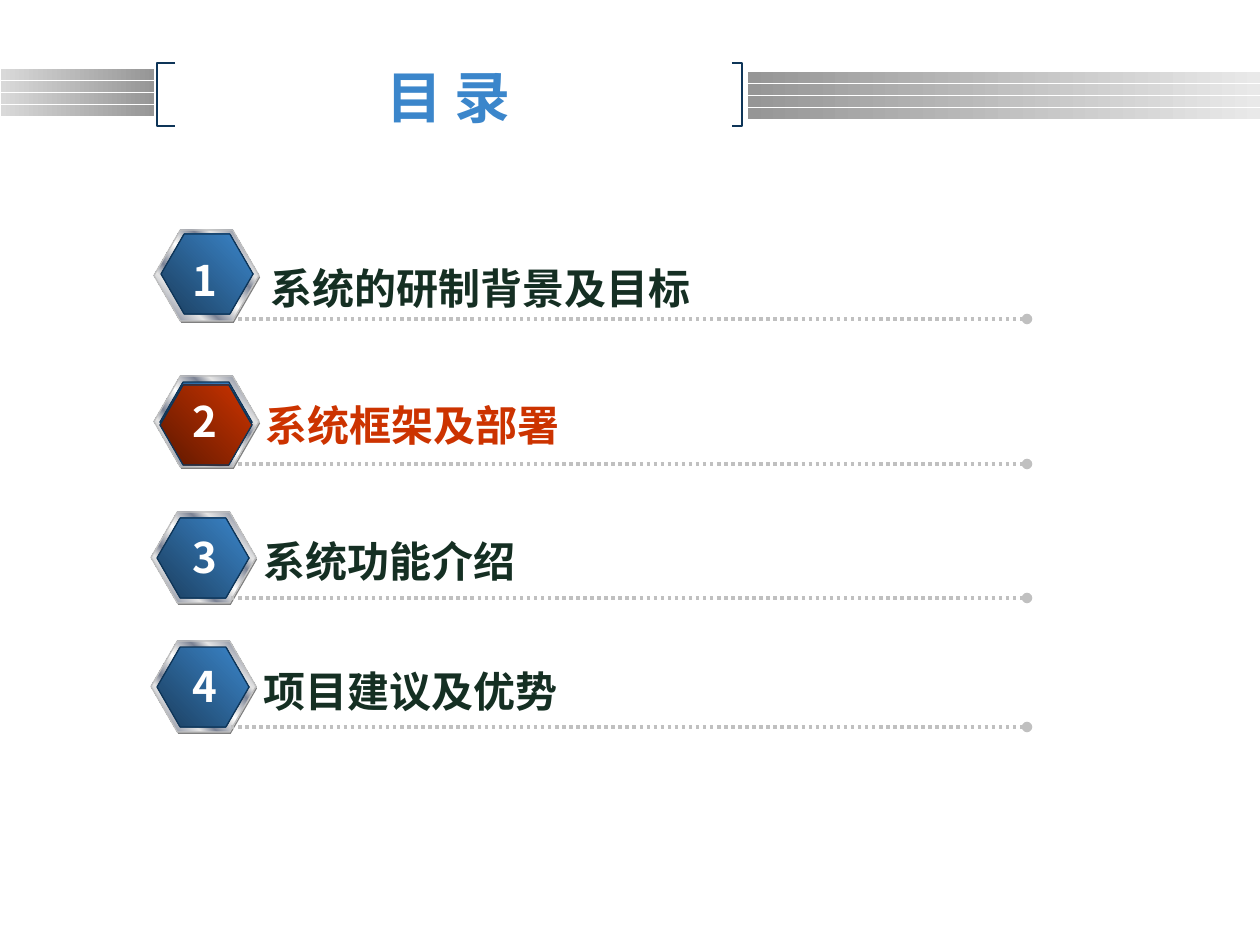
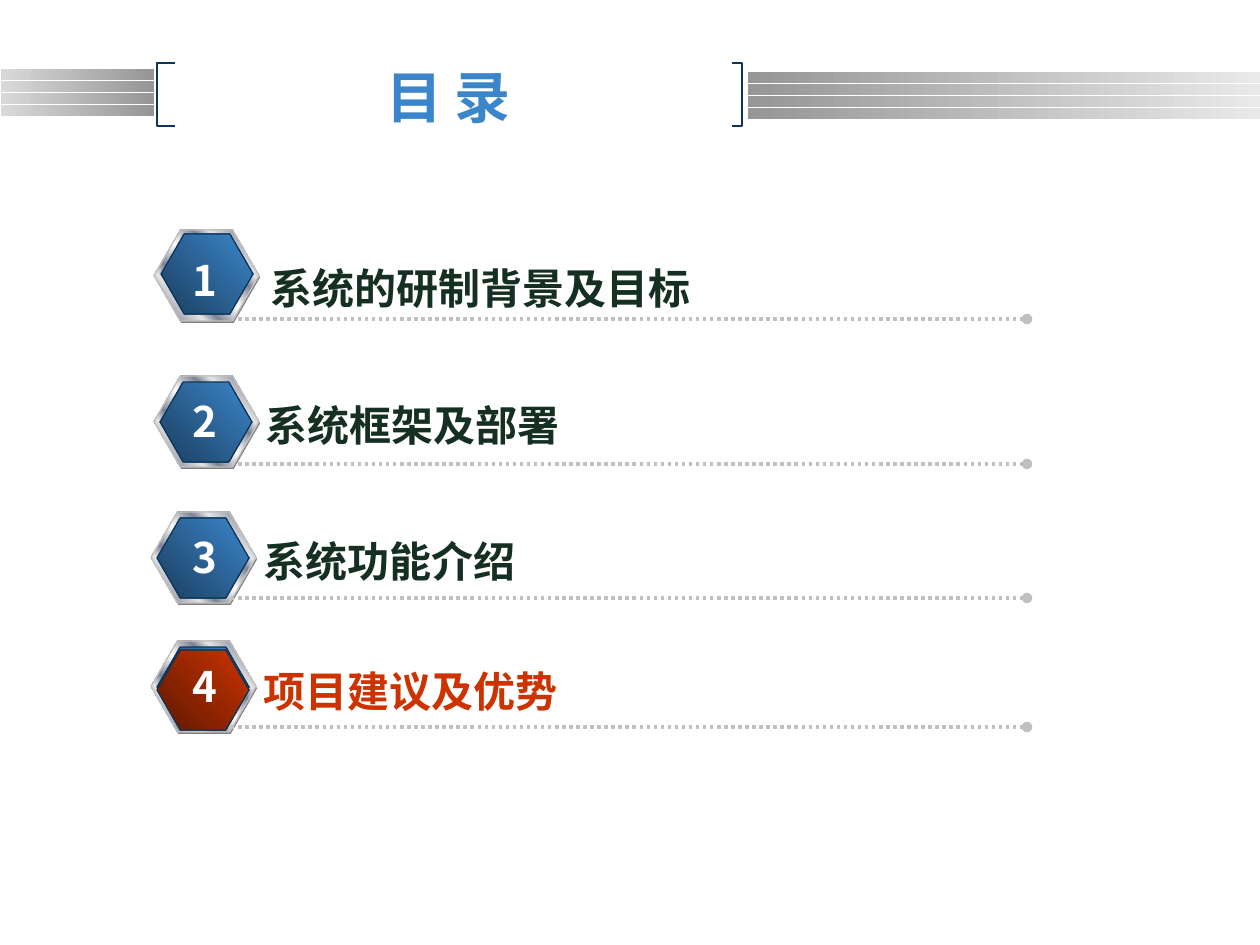
from dataclasses import dataclass

from lxml.etree import SubElement
from pptx import Presentation
from pptx.dml.color import RGBColor
from pptx.enum.dml import MSO_LINE
from pptx.enum.shapes import MSO_CONNECTOR, MSO_SHAPE
from pptx.enum.text import MSO_ANCHOR, MSO_AUTO_SIZE, PP_ALIGN
from pptx.oxml.ns import qn
from pptx.util import Pt

# Content
TITLE = "目 录"
# number, topic, topic position, badge position, face offset, number top, rule y, rule above badge
TOPICS = [
    ("1", "系统的研制背景及目标", (258, 256), (154, 230), (7, 4), 248, 319, False),
    ("2", "系统框架及部署", (253, 393), (154, 376), (6, 6), 389, 464, False),
    ("3", "系统功能介绍", (251, 529), (151, 512), (6, 6), 525, 598, True),
    ("4", "项目建议及优势", (251, 659), (151, 641), (6, 6), 654, 727, True),
]
CURRENT_TOPICS = ["2", "4"]  # highlighted topic of each slide


@dataclass(frozen=True)
class Theme:
    font: str = "Noto Sans CJK SC"
    title_size: int = 32
    topic_size: int = 24
    title: str = "3B86CB"
    topic: str = "152F23"
    current: str = "CC3300"
    number: str = "FFFFFF"
    outline: str = "0E3558"
    rule: str = "C0C0C0"
    badge_shade: str = "808080"
    left_bars: tuple = ((0, "D9D9D9"), (100, "969696"))
    right_bars: tuple = ((0, "969696"), (100, "E9E9E9"))
    blue_face: tuple = ((0, "1B3E5E"), (100, "3B86CB"))
    red_face: tuple = ((0, "5E1800"), (100, "CC3300"))
    metal: tuple = (
        (0, "E6E6E6"), (8, "7D8496"), (26, "E6E6E6"), (34, "7D8496"),
        (46, "E6E6E6"), (50, "FFFFFF"), (54, "E6E6E6"), (66, "7D8496"),
        (74, "E6E6E6"), (92, "7D8496"), (100, "E6E6E6"))


THEME = Theme()
SCALE = 914400 / 126  # EMU in one px
BADGE_SIZE = (105, 91)
FACE_SIZE = (92, 80)
RULE_X = (231, 1027)


def emu(*lengths):
    return [round(length * SCALE) for length in lengths]


def set_line(shape, color, width=0.75):
    shape.line.color.rgb = RGBColor.from_string(color)
    shape.line.width = Pt(width)


def fill_gradient(shape, stops, angle):
    gradient = shape._element.spPr.makeelement(qn("a:gradFill"), {"rotWithShape": "1"})
    stop_list = SubElement(gradient, qn("a:gsLst"))
    for position, color in stops:
        stop = SubElement(stop_list, qn("a:gs"), pos=str(position * 1000))
        SubElement(stop, qn("a:srgbClr"), val=color)
    SubElement(gradient, qn("a:lin"), ang=str(angle * 60000), scaled="0")
    shape._element.spPr.find(qn("a:prstGeom")).addnext(gradient)


def add_filled(slide, kind, box, fill, line=None, angle=0):
    shape = slide.shapes.add_shape(kind, *emu(*box))
    shape.shadow.inherit = False
    if isinstance(fill, str):
        shape.fill.solid()
        shape.fill.fore_color.rgb = RGBColor.from_string(fill)
    else:
        fill_gradient(shape, fill, angle)
    if line:
        set_line(shape, line)
    else:
        shape.line.fill.background()
    return shape


def add_hexagon(slide, position, size, fill, line=None):
    shape = add_filled(slide, MSO_SHAPE.HEXAGON, (*position, *size), fill, line, angle=315)
    shape.adjustments[0] = 0.289
    shape.adjustments[1] = 1.155


def add_text(slide, box, text, size, color, **frame_format):
    frame = slide.shapes.add_textbox(*emu(*box)).text_frame
    settings = {"word_wrap": False, "auto_size": MSO_AUTO_SIZE.SHAPE_TO_FIT_TEXT}
    for name, value in (settings | frame_format).items():
        setattr(frame, name, value)
    paragraph = frame.paragraphs[0]
    run = paragraph.add_run()
    run.text = text
    for name, value in {"size": Pt(size), "bold": True, "name": THEME.font}.items():
        setattr(run.font, name, value)
    run.font.color.rgb = RGBColor.from_string(color)
    SubElement(run._r.get_or_add_rPr(), qn("a:ea"), typeface=THEME.font)
    return paragraph


def add_bracket(slide, inner_x, outer_x, top=63, bottom=126):
    builder = slide.shapes.build_freeform(inner_x, top, scale=SCALE)
    builder.add_line_segments(
        [(outer_x, top), (outer_x, bottom), (inner_x, bottom)], close=False)
    shape = builder.convert_to_shape()
    shape.shadow.inherit = False
    shape.fill.background()
    set_line(shape, THEME.outline)


def add_header(slide):
    for left, top, width, stops in ((1, 69, 153, THEME.left_bars),
                                    (748, 72, 512, THEME.right_bars)):
        for row in range(4):
            add_filled(slide, MSO_SHAPE.RECTANGLE, (left, top + 12 * row, width, 11), stops)
    add_bracket(slide, 175, 157)
    add_bracket(slide, 732, 742)
    paragraph = add_text(slide, (165, 63, 567, 67), TITLE, THEME.title_size, THEME.title,
                         word_wrap=True, auto_size=MSO_AUTO_SIZE.NONE,
                         vertical_anchor=MSO_ANCHOR.MIDDLE)
    paragraph.alignment = PP_ALIGN.CENTER


def add_rule(slide, y):
    start, end = RULE_X
    rule = slide.shapes.add_connector(MSO_CONNECTOR.STRAIGHT, *emu(start, y, end, y))
    set_line(rule, THEME.rule, 2)
    rule.line.dash_style = MSO_LINE.ROUND_DOT
    SubElement(rule.line._get_or_add_ln(), qn("a:tailEnd"), type="oval")
    SubElement(rule._element.spPr, qn("a:effectLst"))


def add_badge(slide, position, face_offset, is_current):
    x, y = position
    face_x, face_y = x + face_offset[0], y + face_offset[1]
    add_hexagon(slide, (x + 1, y + 2), BADGE_SIZE, THEME.badge_shade)
    add_hexagon(slide, position, BADGE_SIZE, THEME.metal, THEME.rule)
    add_hexagon(slide, (face_x, face_y), FACE_SIZE, THEME.blue_face, THEME.outline)
    if is_current:
        add_hexagon(slide, (face_x, face_y + 3), FACE_SIZE, THEME.red_face, THEME.outline)


def add_topic(slide, topic, current):
    number, name, name_position, badge, face_offset, number_top, rule_y, rule_on_top = topic
    is_current = number == current
    if not rule_on_top:
        add_rule(slide, rule_y)
    add_badge(slide, badge, face_offset, is_current)
    if rule_on_top:
        add_rule(slide, rule_y)
    add_text(slide, (180, number_top, 52, 64), number, THEME.topic_size, THEME.number)
    add_text(slide, (*name_position, 43 * len(name) + 21, 63), name, THEME.topic_size,
             THEME.current if is_current else THEME.topic)


def main():
    presentation = Presentation()
    presentation.slide_width, presentation.slide_height = emu(1260, 945)
    for current in CURRENT_TOPICS:
        slide = presentation.slides.add_slide(presentation.slide_layouts[6])
        add_header(slide)
        for topic in TOPICS:
            add_topic(slide, topic, current)
    presentation.save("out.pptx")


if __name__ == "__main__":
    main()
